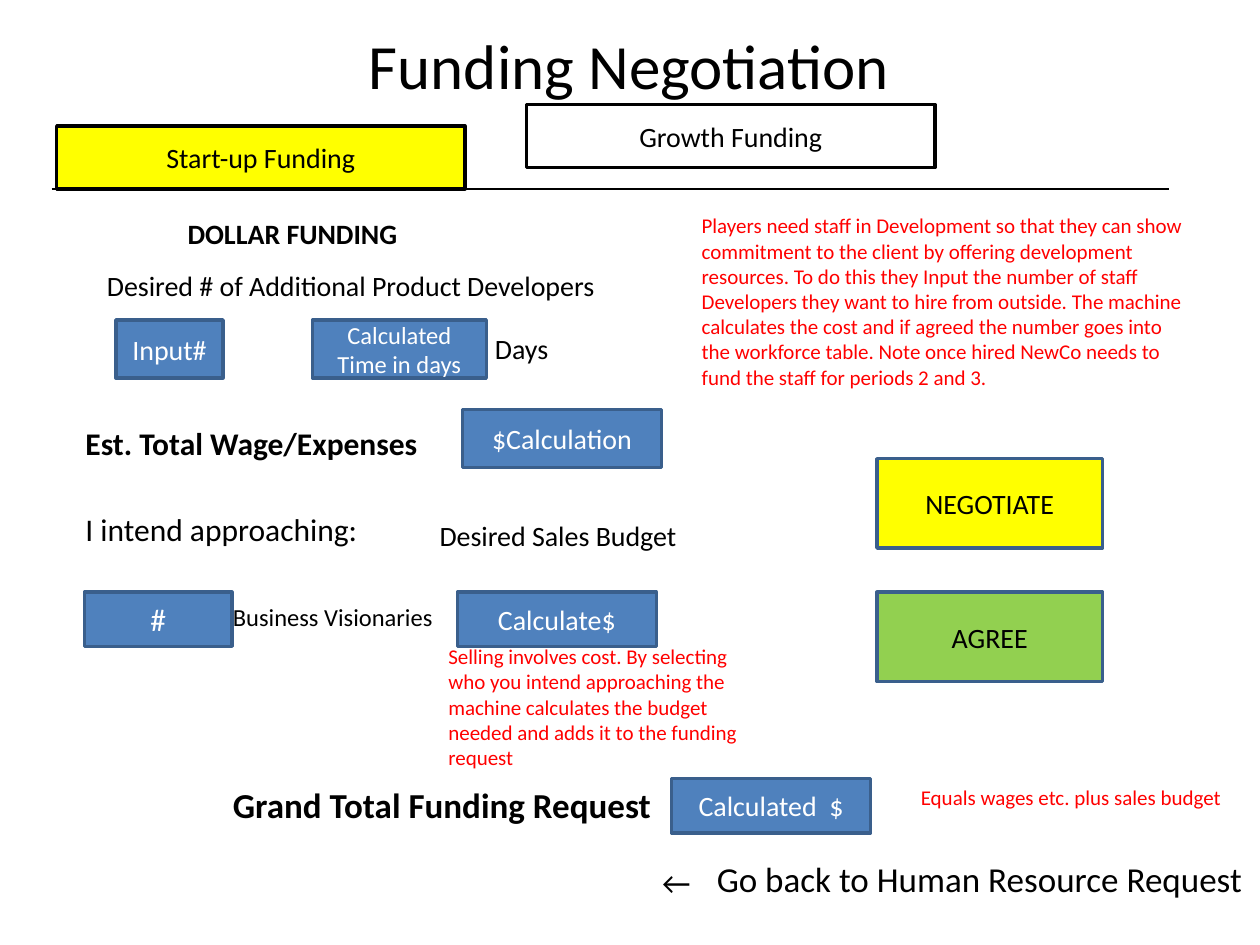
from pptx import Presentation
from pptx.dml.color import RGBColor
from pptx.enum.shapes import MSO_CONNECTOR as CONNECTOR, MSO_SHAPE as SHAPE
from pptx.enum.text import MSO_ANCHOR as ANCHOR, MSO_AUTO_SIZE as AUTO_SIZE, PP_ALIGN as ALIGN
from pptx.oxml.ns import qn
from pptx.util import Emu, Pt
from lxml import etree

PX = 9144  # 100 px to the inch
FONT = "Calibri"
COLORS = {
    "black": "000000", "white": "FFFFFF", "red": "FF0000", "yellow": "FFFF00",
    "green": "92D050", "blue": "4F81BD", "navy": "3A5F8C",
}

# Tabs and buttons: text, box, fill, line colour, text colour
TABS = [
    ("Start-up Funding", (45, 100, 324, 50), "yellow", "black", "black"),
    ("Growth Funding", (418, 83, 324, 50), None, "black", "black"),
]
BUTTONS = [
    ("NEGOTIATE", (696, 364, 179, 71), "yellow", "navy", "black"),
    ("AGREE", (696, 470, 179, 71), "green", "navy", "black"),
]
# Value fields: text, box, text size
FIELDS = [
    ("Input#", (92, 254, 85, 46), 16),
    ("Calculated\vTime in days", (248, 254, 138, 46), 14),
    ("$Calculation", (367, 325, 158, 46), 16),
    ("Calculate$", (363, 470, 158, 43), 16),
    ("Calculated  $", (533, 618, 158, 43), 16),
    ("#", (67, 470, 117, 43), 18),
]
# One-line labels: text, box, format
LABELS = [
    ("Funding Negotiation", (283, 16, 437, 71), {"size": 36}),
    ("DOLLAR FUNDING", (139, 167, 189, 37), {"bold": True}),
    ("Desired # of Additional Product Developers", (75, 208, 413, 37), {}),
    ("Days", (383, 258, 63, 37), {}),
    ("Est. Total Wage/Expenses", (58, 332, 286, 40), {"size": 18, "bold": True}),
    ("I intend approaching:", (58, 400, 239, 40), {"size": 18}),
    ("Desired Sales Budget", (339, 407, 216, 37), {}),
    ("Business Visionaries", (175, 473, 181, 34), {"size": 14}),
    ("Grand Total Funding Request", (175, 617, 355, 44), {"size": 20, "bold": True}),
    ("Equals wages etc. plus sales budget", (721, 618, 261, 30), {"size": 12, "color": "red"}),
    ("Go back to Human Resource Request", (559, 676, 441, 44), {"size": 20}),
]
BACK_ARROW = ("→", (515, 685, 43, 40))
# Wrapped notes: text, box
NOTES = [
    ("Players need staff in Development so that they can show commitment to the client "
     "by offering development resources. To do this they Input the number of staff "
     "Developers they want to hire from outside. The machine calculates the cost and if "
     "agreed the number goes into the workforce table. Note once hired NewCo needs to "
     "fund the staff for periods 2 and 3.", (547, 164, 411, 151)),
    ("Selling involves cost. By selecting who you intend approaching the machine "
     "calculates the budget needed and adds it to the funding request",
     (346, 506, 258, 111)),
]
RULE = (41, 150, 928, 150)


def scale(lengths):
    return [Emu(length * PX) for length in lengths]


def rgb(name):
    return RGBColor.from_string(COLORS[name])


def write(shape, text, size=16, color="black", bold=False, align=ALIGN.LEFT, wrap=True):
    frame = shape.text_frame
    frame.word_wrap = wrap
    paragraph = frame.paragraphs[0]
    paragraph.text = text
    paragraph.alignment = align
    for run in paragraph.runs:
        font = run.font
        font.name, font.size, font.bold = FONT, Pt(size), bold
        font.color.rgb = rgb(color)


def add_box(slide, text, box, fill, line, color, size=16):
    shape = slide.shapes.add_shape(SHAPE.RECTANGLE, *scale(box))
    shape.shadow.inherit = False
    if fill:
        shape.fill.solid()
        shape.fill.fore_color.rgb = rgb(fill)
    else:
        shape.fill.background()
    shape.line.color.rgb = rgb(line)
    shape.line.width = Pt(2)
    shape.text_frame.vertical_anchor = ANCHOR.MIDDLE
    write(shape, text, size=size, color=color, align=ALIGN.CENTER)


def add_text(slide, text, box, wrap=False, **text_format):
    shape = slide.shapes.add_textbox(*scale(box))
    write(shape, text, wrap=wrap, **text_format)
    shape.text_frame.auto_size = AUTO_SIZE.SHAPE_TO_FIT_TEXT
    return shape


def main():
    presentation = Presentation()
    presentation.slide_width, presentation.slide_height = scale((1000, 750))
    slide = presentation.slides.add_slide(presentation.slide_layouts[6])

    # Tabs and the rule below them
    for tab in TABS:
        add_box(slide, *tab)
    rule = slide.shapes.add_connector(CONNECTOR.STRAIGHT, *scale(RULE))
    rule.line.color.rgb = rgb("black")
    rule.line.width = Pt(1.5)
    etree.SubElement(rule._element.spPr, qn("a:effectLst"))

    # Fields and buttons
    for text, box, size in FIELDS:
        add_box(slide, text, box, "blue", "navy", "white", size)
    for button in BUTTONS:
        add_box(slide, *button)

    # Labels, back arrow and notes
    for text, box, text_format in LABELS:
        add_text(slide, text, box, **text_format)
    add_text(slide, *BACK_ARROW, size=18).rotation = 180
    for text, box in NOTES:
        add_text(slide, text, box, wrap=True, size=12, color="red")

    presentation.save("out.pptx")


if __name__ == "__main__":
    main()
